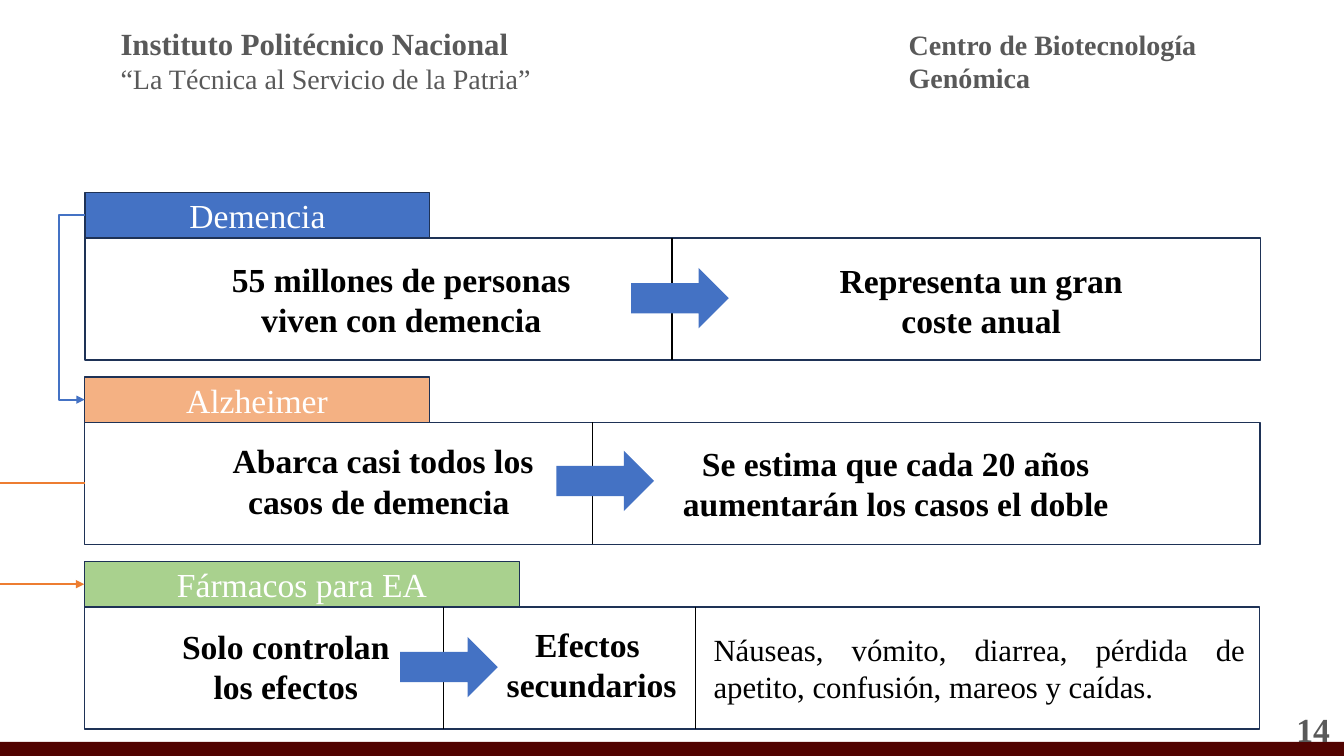
from dataclasses import dataclass

import pptx
import pptx.dml.color
import pptx.enum.shapes
import pptx.enum.text
import pptx.oxml
import pptx.oxml.ns
import pptx.util

Pt = pptx.util.Pt
RGB = pptx.dml.color.RGBColor
SHAPE = pptx.enum.shapes.MSO_SHAPE
LINE = pptx.enum.shapes.MSO_CONNECTOR
ALIGN = pptx.enum.text.PP_ALIGN
ANCHOR = pptx.enum.text.MSO_ANCHOR

FONT = "Times New Roman"
WHITE = RGB(0xFF, 0xFF, 0xFF)
BLACK = RGB(0, 0, 0)
GRAY = RGB(0x59, 0x59, 0x59)
MAROON = RGB(0x51, 0x03, 0x01)
NAVY = RGB(0x1E, 0x32, 0x56)
BLUE = RGB(0x44, 0x72, 0xC4)
ORANGE = RGB(0xED, 0x7D, 0x31)
PEACH = RGB(0xF4, 0xB1, 0x83)
GREEN = RGB(0xA9, 0xD1, 0x8E)

TOP, PITCH = 137.5, 131.8
TAG_H, BODY_W, BODY_H = 32.4, 839.5, 87.2
ARROW_W, ARROW_H = 69.8, 43.2
LEFT, LEFT_STEP = 60.8, 0.3  # each section starts slightly further left


@dataclass
class Note:
    left: float
    top: float
    width: float
    text: str
    size: float = 24
    bold: bool = True
    align: ALIGN = ALIGN.CENTER
    color: RGB = BLACK
    height: float = 65.5


@dataclass
class Section:
    title: str
    fill: RGB
    tag_width: float
    dividers: list[float]
    arrow_left: float
    arrow_top: float
    notes: list[Note]


SECTIONS = [
    Section("Demencia", BLUE, 246.2, [480], 450.8, 191.4, [
        Note(142.6, 181.4, 288, "55 millones de personas viven con demencia"),
        Note(586.8, 182.2, 228.2, "Representa un gran coste anual")]),
    Section("Alzheimer", PEACH, 246.2, [423.4], 397.4, 322, [
        Note(132.5, 311, 282.2, "Abarca casi todos los casos de demencia "),
        Note(457.9, 312.5, 363.6, "Se estima que cada 20 años aumentarán los casos el doble")]),
    Section("Fármacos para EA", GREEN, 311, [316.8, 496.8], 285.8, 454.9, [
        Note(114.5, 443.5, 179.3, "Solo controlan los efectos"),
        Note(345.6, 442.1, 154.1, "Efectos \nsecundarios"),
        Note(502.6, 447.1, 393.8,
             "Náuseas, vómito, diarrea, pérdida de apetito, confusión, mareos y caídas.",
             22, False, ALIGN.JUSTIFY, height=60.5)]),
]


def write(tf, text: str, size: float, color: RGB, bold: bool, align: ALIGN) -> None:
    tf.text = text
    tf.word_wrap = True
    for p in tf.paragraphs:
        p.alignment = align
        for r in p.runs:
            r.font.name, r.font.size, r.font.bold = FONT, Pt(size), bold
            r.font.color.rgb = color


def add_note(s, note: Note):
    tb = s.shapes.add_textbox(Pt(note.left), Pt(note.top), Pt(note.width), Pt(note.height))
    write(tb.text_frame, note.text, note.size, note.color, note.bold, note.align)
    return tb


def add_block(s, kind: SHAPE, left: float, top: float, width: float, height: float,
              fill: RGB | None = None, line: RGB | None = None):
    sp = s.shapes.add_shape(kind, Pt(left), Pt(top), Pt(width), Pt(height))
    sp.shadow.inherit = False
    if fill is None:
        sp.fill.background()
    else:
        sp.fill.solid()
        sp.fill.fore_color.rgb = fill
    if line is None:
        sp.line.fill.background()
    else:
        sp.line.color.rgb = line
        sp.line.width = Pt(1)
    return sp


def add_line(s, kind: LINE, x1: float, y1: float, x2: float, y2: float,
             color: RGB, width: float):
    cx = s.shapes.add_connector(kind, Pt(x1), Pt(y1), Pt(x2), Pt(y2))
    cx.line.color.rgb = color
    cx.line.width = Pt(width)
    pptx.oxml.ns  # namespace helpers are used for the effect list
    cx._element.spPr.append(pptx.oxml.parse_xml(
        f'<a:effectLst {pptx.oxml.ns.nsdecls("a")}/>'))
    return cx


def add_elbow(s, start, end, reach: float, color: RGB) -> None:
    """Join the left sides of two boxes, bending `reach` points to their left."""
    cx = add_line(s, LINE.ELBOW, LEFT, TOP, LEFT - LEFT_STEP, TOP + PITCH, color, 1.5)
    cx.begin_connect(start, 1)
    cx.end_connect(end, 1)
    ns = pptx.oxml.ns.nsdecls("a")
    ratio = round(reach / LEFT_STEP * 100000)
    geometry = cx._element.spPr.find(pptx.oxml.ns.qn("a:prstGeom"))
    for old in list(geometry):
        geometry.remove(old)
    geometry.append(pptx.oxml.parse_xml(
        f'<a:avLst {ns}><a:gd name="adj1" fmla="val {ratio}"/></a:avLst>'))
    cx.line._get_or_add_ln().append(pptx.oxml.parse_xml(
        f'<a:tailEnd {ns} type="triangle"/>'))


def add_section(s, index: int, section: Section):
    left, top = LEFT - index * LEFT_STEP, TOP + index * PITCH
    body_top = top + TAG_H
    for note in section.notes:
        add_note(s, note)
    body = add_block(s, SHAPE.RECTANGLE, left, body_top, BODY_W, BODY_H, line=NAVY)
    tag = add_block(s, SHAPE.RECTANGLE, left, top, section.tag_width, TAG_H,
                    section.fill, NAVY)
    write(tag.text_frame, section.title, 24, WHITE, False, ALIGN.CENTER)
    tag.text_frame.vertical_anchor = ANCHOR.MIDDLE
    for x in section.dividers:
        add_line(s, LINE.STRAIGHT, x, body_top, x, body_top + BODY_H, BLACK, 1)
    add_block(s, SHAPE.RIGHT_ARROW, section.arrow_left, section.arrow_top,
              ARROW_W, ARROW_H, BLUE)
    return tag, body


def main() -> None:
    prs = pptx.Presentation()
    prs.slide_width, prs.slide_height = Pt(960), Pt(540)
    s = prs.slides.add_slide(prs.slide_layouts[6])

    # Header, footer band and page number
    add_block(s, SHAPE.RECTANGLE, 0, 530, 960, 10, MAROON)
    add_note(s, Note(642, 16, 300, "Centro de Biotecnología Genómica", 20,
                     align=ALIGN.LEFT, color=GRAY, height=32))
    motto = add_note(s, Note(79, 14, 328,
                             "Instituto Politécnico Nacional\n“La Técnica al Servicio de la Patria”",
                             22, align=ALIGN.LEFT, color=GRAY, height=58))
    r = motto.text_frame.paragraphs[1].runs[0]
    r.font.size, r.font.bold = Pt(20), False
    page = add_note(s, Note(741, 506, 216, "14", align=ALIGN.RIGHT, color=GRAY, height=29))
    page.text_frame.vertical_anchor = ANCHOR.MIDDLE

    # Sections and the links between them
    (dementia, _), (alzheimer, alzheimer_body), (drugs, _) = [
        add_section(s, i, section) for i, section in enumerate(SECTIONS)]
    add_elbow(s, dementia, alzheimer, 18, BLUE)
    add_elbow(s, alzheimer_body, drugs, 65, ORANGE)

    prs.save("out.pptx")


if __name__ == "__main__":
    main()
